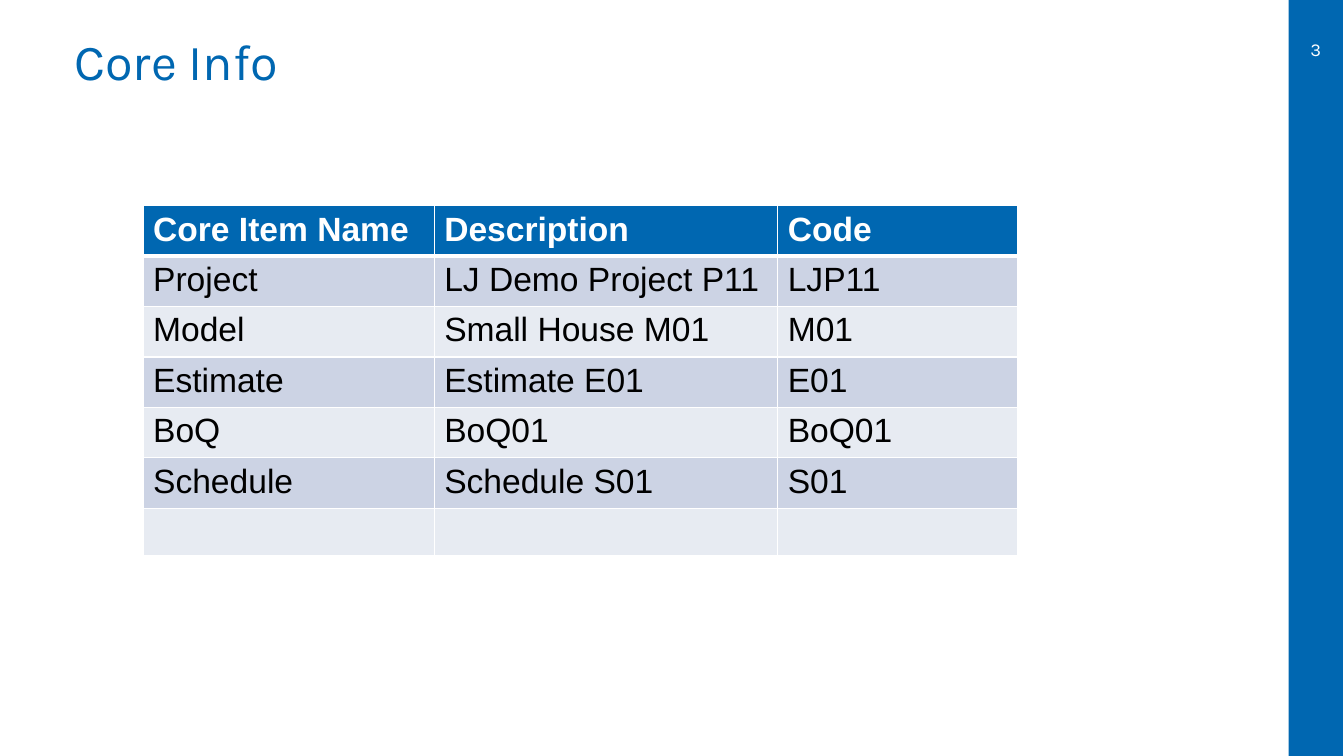
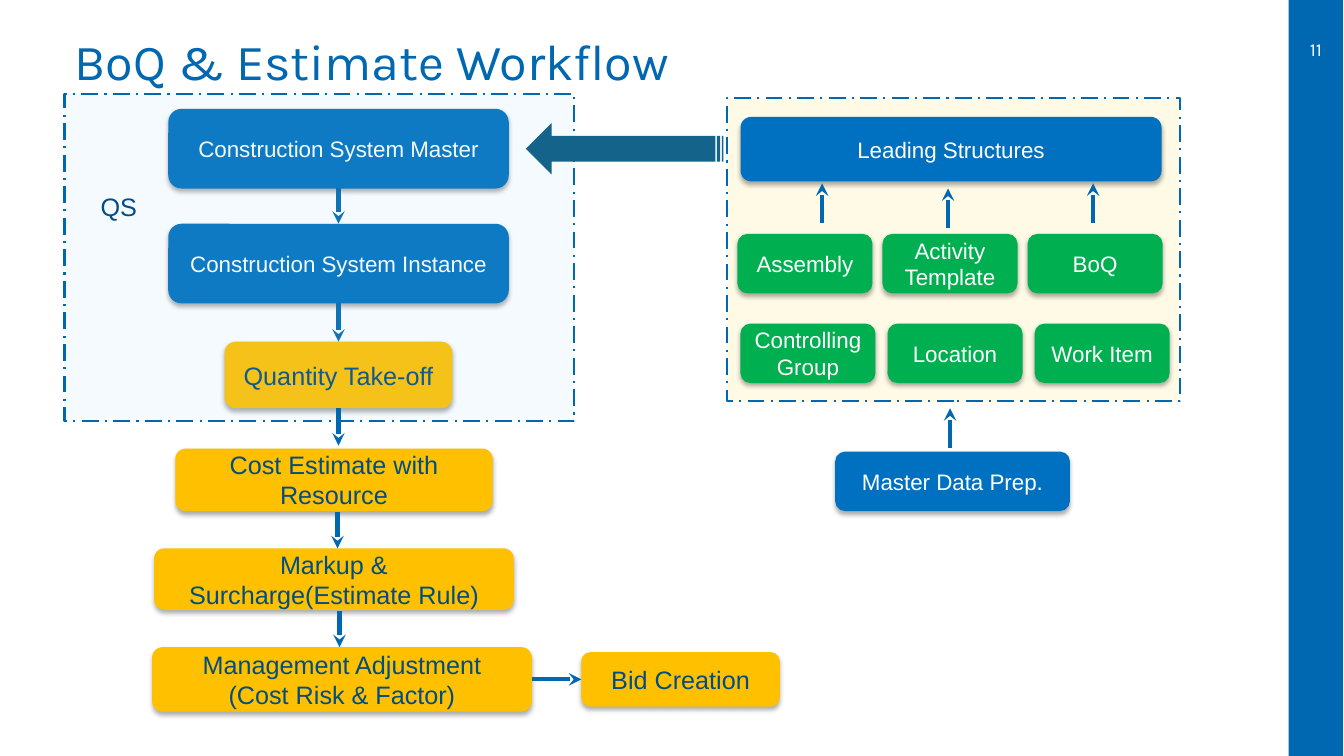
import pptx
import pptx.util
import pptx.dml.color
import pptx.oxml
import pptx.oxml.ns
from pptx.enum.dml import MSO_LINE
from pptx.enum.shapes import MSO_CONNECTOR, MSO_SHAPE
from pptx.enum.text import MSO_ANCHOR, PP_ALIGN

NS = pptx.oxml.ns.nsdecls("a")
qn = pptx.oxml.ns.qn
TOP, LEFT, BOTTOM, RIGHT = range(4)


class Theme:
    brand = "0067B1"
    blue = "0070C0"
    green = "00B050"
    gold = "FFC000"
    navy = "004D85"
    teal = "13638B"
    sky = "98D4F1"
    sun = "FFD211"
    white = "FFFFFF"
    black = "000000"
    bands = ("E7EBF2", "CCD3E4")
    head = "Karla"
    body = "Arial"
    title = 36
    cell = 24
    large = 18
    small = 16
    page = 13


def px(n):
    """Turn px, 100 to the inch, into EMU."""
    return pptx.util.Emu(n * 9144)


def rgb(code):
    return pptx.dml.color.RGBColor.from_string(code)


def xml(text):
    return pptx.oxml.parse_xml(text)


def write(frame, text, size, color, font=Theme.body, align=PP_ALIGN.LEFT, bold=False):
    for i, line in enumerate(text.split("\n")):
        para = frame.add_paragraph() if i else frame.paragraphs[0]
        para.alignment = align
        run = para.add_run()
        run.text = line
        run.font.name = font
        run.font.size = pptx.util.Pt(size)
        run.font.bold = bold
        run.font.color.rgb = rgb(color)


def pad(frame, anchor):
    frame.word_wrap = True
    frame.vertical_anchor = anchor
    frame.margin_left = frame.margin_right = px(13)
    frame.margin_top = frame.margin_bottom = px(7)


def shape(slide, kind, box, fill):
    item = slide.shapes.add_shape(kind, *map(px, box))
    item.shadow.inherit = False
    item.fill.solid()
    item.fill.fore_color.rgb = rgb(fill)
    item.line.fill.background()
    return item


def card(slide, box, text, fill, color=Theme.white, size=Theme.small):
    """Add a rounded box with centred text and a soft shadow."""
    item = shape(slide, MSO_SHAPE.ROUNDED_RECTANGLE, box, fill)
    item.element.spPr.find(qn("a:effectLst")).append(xml(
        f'<a:outerShdw {NS} blurRad="44450" dist="27940" dir="5400000" algn="ctr" rotWithShape="0">'
        f'<a:srgbClr val="{Theme.black}"><a:alpha val="32000"/></a:srgbClr></a:outerShdw>'))
    item.text_frame.word_wrap = True
    item.text_frame.vertical_anchor = MSO_ANCHOR.MIDDLE
    write(item.text_frame, text, size, color, align=PP_ALIGN.CENTER)
    return item


def gold(slide, box, text):
    return card(slide, box, text, Theme.gold, Theme.navy, Theme.large)


def panel(slide, box, fill):
    """Add a dashed frame with a faint tint."""
    item = shape(slide, MSO_SHAPE.RECTANGLE, box, fill)
    item.line.color.rgb = rgb(Theme.brand)
    item.line.width = pptx.util.Pt(1.5)
    item.line.dash_style = MSO_LINE.LONG_DASH_DOT
    tint = item.element.spPr.find(qn("a:solidFill")).find(qn("a:srgbClr"))
    tint.append(xml(f'<a:alpha {NS} val="10000"/>'))


def arrow(slide, start=(0, 0), end=(0, 0), head=None, tail=None):
    """Draw an arrow; head and tail are (shape, side) joins for start and end."""
    line = slide.shapes.add_connector(MSO_CONNECTOR.STRAIGHT, *map(px, (*start, *end)))
    if head:
        line.begin_connect(*head)
    if tail:
        line.end_connect(*tail)
    line.line.color.rgb = rgb(Theme.brand)
    line.line.width = pptx.util.Pt(3)
    line.line._get_or_add_ln().append(xml(f'<a:tailEnd {NS} type="stealth"/>'))
    line.element.spPr.append(xml(f"<a:effectLst {NS}/>"))


def rail(deck, slide):
    """Put the side band on the master, behind every slide."""
    band = shape(slide, MSO_SHAPE.RECTANGLE, (1279, 0, 54, 750), Theme.brand)
    band.element.nvSpPr.cNvPr.set("id", "99")
    deck.slide_master.shapes.element.insert(2, band.element)


def base(deck, title, page):
    slide = deck.slides.add_slide(deck.slide_layouts[5])
    head = slide.shapes.title
    head.left, head.top, head.width, head.height = map(px, (61, 0, 1158, 97))
    pad(head.text_frame, MSO_ANCHOR.BOTTOM)
    write(head.text_frame, title, Theme.title, Theme.brand, Theme.head)
    note = slide.shapes.add_textbox(*map(px, (1279, 24, 54, 50)))
    pad(note.text_frame, MSO_ANCHOR.MIDDLE)
    write(note.text_frame, page, Theme.page, Theme.white, Theme.head, PP_ALIGN.CENTER)
    return slide


def edge(cell, first):
    """Give a cell white borders, thicker below the heading."""
    props = cell._tc.get_or_add_tcPr()
    for side in "LRTB":
        width = 38100 if first and side == "B" else 12700
        props.append(xml(
            f'<a:ln{side} {NS} w="{width}"><a:solidFill><a:srgbClr val="{Theme.white}"/>'
            f"</a:solidFill></a:ln{side}>"))


def items(slide, left, top, cols, rows, high):
    grid = slide.shapes.add_table(
        len(rows), len(cols), *map(px, (left, top, sum(cols), high * len(rows)))).table
    grid.horz_banding = False
    for col, width in zip(grid.columns, cols):
        col.width = px(width)
    for r, row in enumerate(rows):
        for c, text in enumerate(row):
            cell = grid.cell(r, c)
            edge(cell, r == 0)
            cell.fill.solid()
            cell.fill.fore_color.rgb = rgb(Theme.bands[r % 2] if r else Theme.brand)
            if text:
                write(cell.text_frame, text, Theme.cell,
                      Theme.black if r else Theme.white, bold=r == 0)


def leading(slide, x, y):
    """Draw the leading structures and the master data that feeds them."""
    panel(slide, (x, y, 449, 301), Theme.sun)
    card(slide, (x + 13, y + 19, 418, 64), "Leading Structures", Theme.blue)
    rows = (
        (10, 135, 144, ("Assembly", "Activity Template", "BoQ")),
        (13, 224, 146, ("Controlling Group", "Location", "Work Item")),
    )
    for left, top, step, names in rows:
        for i, name in enumerate(names):
            card(slide, (x + left + i * step, y + top, 134, 59), name, Theme.green)
    card(slide, (x + 107, y + 351, 233, 59), "Master Data Prep.", Theme.blue)
    for left, top in ((94, 85), (219, 90), (363, 85), (221, 308)):
        arrow(slide, (x + left, y + top + 39), (x + left, y + top))


def survey(slide, x, y):
    """Draw the QS panel and return its last step."""
    main = card(slide, (x + 103, y + 15, 338, 79), "Construction System Master", Theme.blue)
    inst = card(slide, (x + 103, y + 129, 338, 79), "Construction System Instance", Theme.blue)
    take = gold(slide, (x + 159, y + 246, 226, 66), "Quantity Take-off")
    arrow(slide, head=(main, BOTTOM), tail=(inst, TOP))
    arrow(slide, head=(inst, BOTTOM), tail=(take, TOP))
    panel(slide, (x, y, 506, 325), Theme.sky)
    label = slide.shapes.add_textbox(*map(px, (x + 26, y + 92, 77, 40)))
    label.text_frame.word_wrap = True
    write(label.text_frame, "QS", Theme.large, Theme.navy)
    return take


def pricing(slide, x, y, take):
    """Draw the steps from cost estimate to bid, following the take-off."""
    gold(slide, (x + 23, y, 315, 62), "Cost Estimate with Resource")
    gold(slide, (x + 2, y + 99, 357, 61), "Markup & Surcharge(Estimate Rule)")
    adjust = gold(slide, (x, y + 197, 377, 64), "Management Adjustment\n(Cost Risk & Factor)")
    bid = gold(slide, (x + 426, y + 202, 197, 54), "Bid Creation")
    arrow(slide, end=(x + 185, y - 3), head=(take, BOTTOM))
    arrow(slide, (x + 184, y + 63), (x + 184, y + 99))
    arrow(slide, (x + 186, y + 161), (x + 186, y + 197))
    arrow(slide, head=(adjust, RIGHT), tail=(bid, LEFT))


def main():
    deck = pptx.Presentation()
    deck.slide_width, deck.slide_height = px(1334), px(750)

    core = base(deck, "Core Info", "3")
    rail(deck, core)
    items(core, 142, 204, (289, 341, 238), (
        ("Core Item Name", "Description", "Code"),
        ("Project", "LJ Demo Project P11", "LJP11"),
        ("Model", "Small House M01", "M01"),
        ("Estimate", "Estimate E01", "E01"),
        ("BoQ", "BoQ01", "BoQ01"),
        ("Schedule", "Schedule S01", "S01"),
        ("", "", ""),
    ), 47)

    flow = base(deck, "BoQ & Estimate Workflow", "11")
    leading(flow, 722, 97)
    take = survey(flow, 64, 93)
    pricing(flow, 151, 445, take)
    feed = shape(flow, MSO_SHAPE.STRIPED_RIGHT_ARROW, (522, 122, 196, 51), Theme.teal)
    feed.rotation = 180

    deck.save("out.pptx")


if __name__ == "__main__":
    main()
